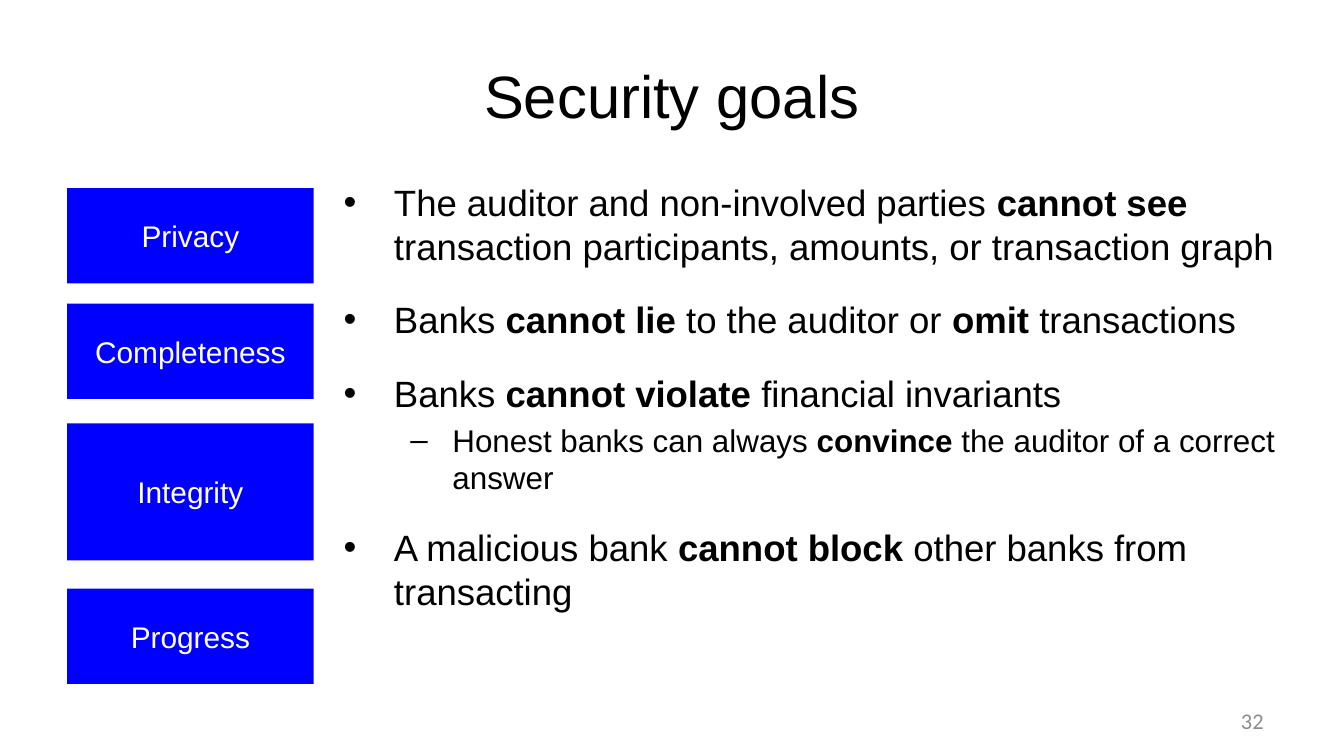
from pptx import Presentation
from pptx.dml.color import RGBColor
from pptx.enum.shapes import MSO_SHAPE
from pptx.enum.text import MSO_ANCHOR, PP_ALIGN
from pptx.util import Pt
from lxml.etree import SubElement
from pptx.oxml.ns import qn

BLACK, WHITE, BLUE, GRAY = "000000", "FFFFFF", "0000FF", "8C8C8C"

# Label, top, height
GOALS = [
    ("Privacy", 100.8, 51),
    ("Completeness", 162.7, 51),
    ("Integrity", 226.8, 73.5),
    ("Progress", 315.4, 51),
]

# Level, space after, text pieces (every second piece is bold)
POINTS = [
    (0, 12, ["The auditor and non-involved parties ", "cannot see",
             " transaction participants, amounts, or transaction graph"]),
    (0, 12, ["Banks ", "cannot lie", " to the auditor or ", "omit", " transactions"]),
    (0, 0, ["Banks ", "cannot violate ", "financial invariants"]),
    (1, 12, ["Honest banks can always ", "convince", " the auditor of a correct answer"]),
    (0, 12, ["A malicious bank ", "cannot block", " other banks from transacting"]),
]

# Per level: bullet, left margin, hanging indent, text size, line pitch
LEVELS = [("•", 27, 27, 19.6, 23.5), ("–", 58.3, 22.5, 16.8, 19.8)]


def color(value):
    return RGBColor.from_string(value)


def style_font(font, size, fill, name="Arial"):
    font.size = Pt(size)
    font.name = name
    font.color.rgb = color(fill)


def set_line(shape, text, size, fill, align, name="Arial"):
    """Put one vertically centred line of text in a shape."""
    frame = shape.text_frame
    frame.text = text
    frame.word_wrap = True
    frame.vertical_anchor = MSO_ANCHOR.MIDDLE
    para = frame.paragraphs[0]
    para.alignment = align
    style_font(para.runs[0].font, size, fill, name)


def add_goal(slide, label, top, height):
    box = slide.shapes.add_shape(MSO_SHAPE.RECTANGLE, Pt(36), Pt(top), Pt(132), Pt(height))
    box.shadow.inherit = False
    box.fill.solid()
    box.fill.fore_color.rgb = color(BLUE)
    box.line.fill.background()
    set_line(box, label, 16, WHITE, PP_ALIGN.CENTER)


def set_bullet(para, symbol, margin, hanging):
    properties = para._p.get_or_add_pPr()
    properties.set("marL", str(Pt(margin)))
    properties.set("indent", str(-Pt(hanging)))
    SubElement(properties, qn("a:buFont"), typeface="Arial")
    SubElement(properties, qn("a:buChar"), char=symbol)


def add_points(slide):
    box = slide.shapes.add_textbox(Pt(177), Pt(92.9), Pt(516.2), Pt(296.6))
    frame = box.text_frame
    frame.word_wrap = True
    for index, (level, after, pieces) in enumerate(POINTS):
        para = frame.add_paragraph() if index else frame.paragraphs[0]
        symbol, margin, hanging, size, pitch = LEVELS[level]
        set_bullet(para, symbol, margin, hanging)
        para.level = level
        para.line_spacing = Pt(pitch)
        para.space_before = Pt(3.8 if index else 0)
        para.space_after = Pt(after)
        for position, piece in enumerate(pieces):
            span = para.add_run()
            span.text = piece
            style_font(span.font, size, BLACK)
            span.font.bold = position % 2 == 1


def main():
    deck = Presentation()
    deck.slide_width, deck.slide_height = Pt(720), Pt(405)
    slide = deck.slides.add_slide(deck.slide_layouts[6])

    # Title
    title = slide.shapes.add_textbox(Pt(36), Pt(16.6), Pt(648), Pt(67.7))
    set_line(title, "Security goals", 32, BLACK, PP_ALIGN.CENTER)

    # Explanations and their labels
    add_points(slide)
    for label, top, height in GOALS:
        add_goal(slide, label, top, height)

    # Page number
    number = slide.shapes.add_textbox(Pt(516), Pt(375.4), Pt(168), Pt(21.6))
    set_line(number, "32", 12, GRAY, PP_ALIGN.RIGHT, "Calibri")

    deck.save("out.pptx")


if __name__ == "__main__":
    main()
